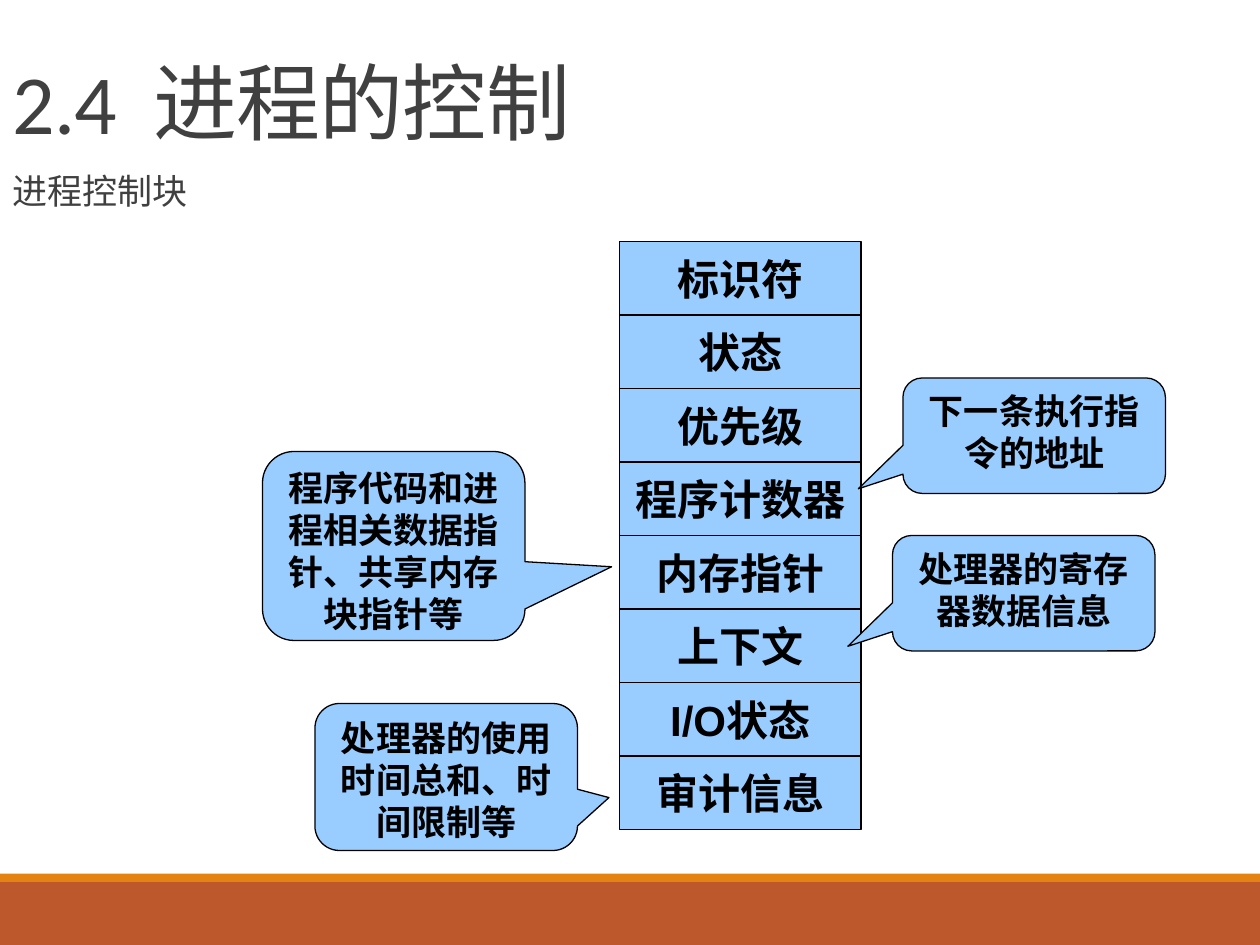
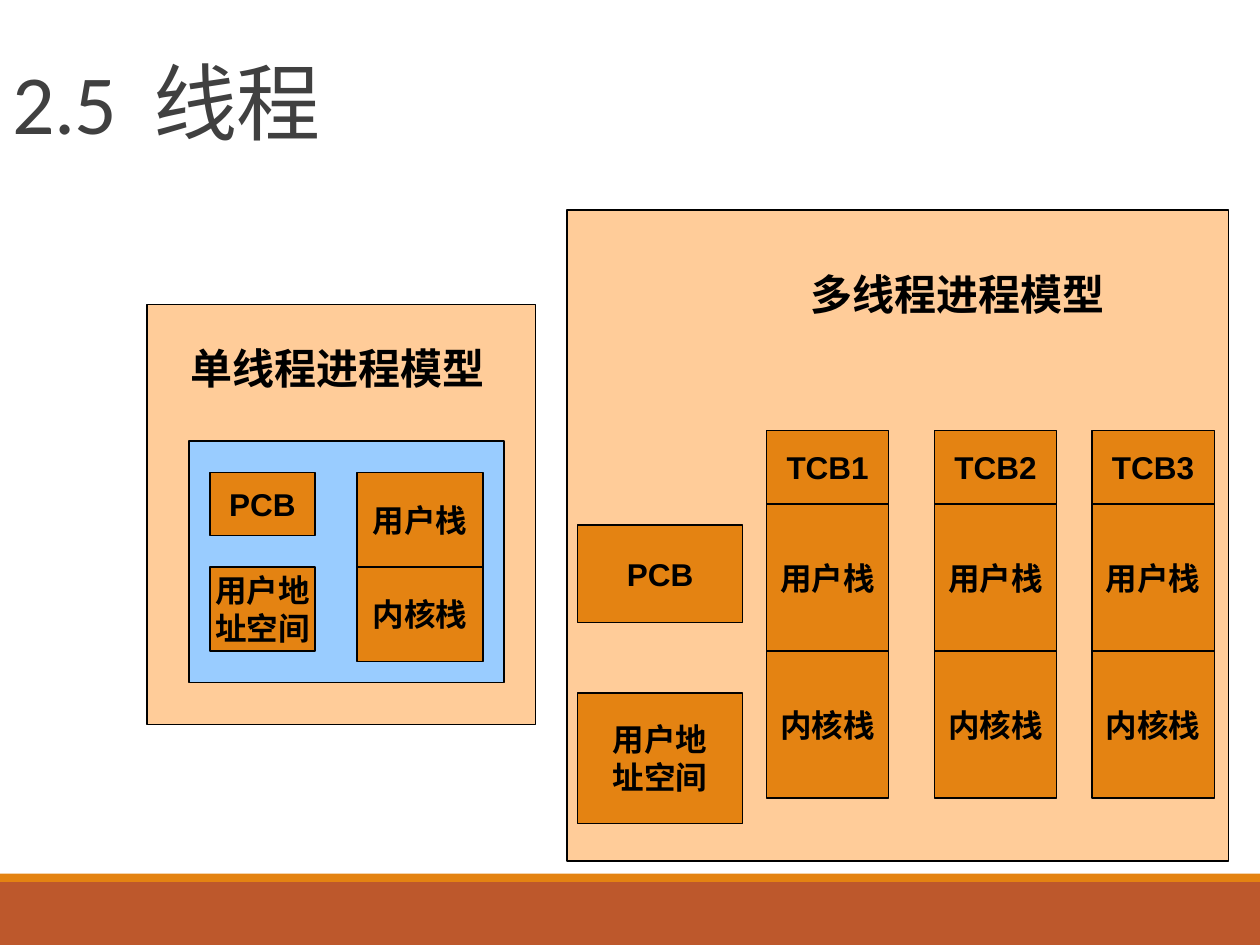
"""Build two slides on process control blocks and thread models."""
import pptx
import pptx.dml.color
import pptx.enum.shapes
import pptx.enum.text
import pptx.util

HUE = {
    "rust": "BD582C", "gold": "E48312", "gray": "404040",
    "blue": "99CCFF", "peach": "FFCC99", "black": "000000",
}
COLS, ROWS = 120, 90
KIND = pptx.enum.shapes.MSO_SHAPE
ALIGN = pptx.enum.text.PP_ALIGN
ANCHOR = pptx.enum.text.MSO_ANCHOR

deck = pptx.Presentation()
deck.slide_width = pptx.util.Inches(10)
deck.slide_height = pptx.util.Inches(7.5)
wide, high = deck.slide_width / COLS, deck.slide_height / ROWS
plain = deck.slide_layouts[5]


def write(par, text, size, hue="black", face="Arial", bold=True):
    """Add one run to a paragraph."""
    run = par.add_run()
    run.text = text
    run.font.size = pptx.util.Pt(size)
    run.font.name = face
    run.font.bold = bold
    run.font.color.rgb = pptx.dml.color.RGBColor.from_string(HUE[hue])
    return run


def put(shapes, cells, hue=None, lines=(), size=18, kind=KIND.RECTANGLE, edge=True):
    """Place a filled shape, or a bare text box when no hue is given."""
    col, row, span, rise = cells
    spot = [round(v) for v in (col * wide, row * high, span * wide, rise * high)]
    if hue:
        item = shapes.add_shape(kind, *spot)
        item.shadow.inherit = False
        item.fill.solid()
        item.fill.fore_color.rgb = pptx.dml.color.RGBColor.from_string(HUE[hue])
        if edge:
            item.line.color.rgb = pptx.dml.color.RGBColor.from_string(HUE["black"])
            item.line.width = pptx.util.Pt(0.75)
        else:
            item.line.fill.background()
    else:
        item = shapes.add_textbox(*spot)
    frame = item.text_frame
    box = hue and kind == KIND.RECTANGLE
    frame.word_wrap = kind != KIND.RECTANGLE
    frame.vertical_anchor = ANCHOR.MIDDLE if box else ANCHOR.TOP
    for num, line in enumerate(lines):
        par = frame.add_paragraph() if num else frame.paragraphs[0]
        par.alignment = ALIGN.CENTER if hue else ALIGN.LEFT
        write(par, line, size)
    return item


pages = []
for mark, name in [("2.4", "进程的控制"), ("2.5", "线程")]:
    page = deck.slides.add_slide(plain)
    head = page.shapes.title
    head.left, head.top = 0, 0
    head.width, head.height = deck.slide_width, round(15 * high)
    frame = head.text_frame
    frame.word_wrap = True
    frame.auto_size = pptx.enum.text.MSO_AUTO_SIZE.NONE
    frame.vertical_anchor = ANCHOR.BOTTOM
    par = frame.paragraphs[0]
    par.alignment = ALIGN.LEFT
    par.line_spacing = 0.85
    for text, gap in [(mark, -50), (" ", 1000), (name, -50)]:
        run = write(par, text, 48, "gray", "Calibri", False)
        run.font._element.set("spc", str(gap))
    pages.append(page)

block, thread = pages
for top, rise, hue in [(84, 6, "rust"), (83.2, 0.8, "gold")]:
    band = put(block.shapes, (0, top, COLS, rise), hue, edge=False)
    plain.shapes.element.append(band.element)

note = put(block.shapes, (0, 16, COLS, 6))
par = note.text_frame.paragraphs[0]
par.line_spacing = 0.9
write(par, "进程控制块", 20, "gray", "Calibri", False)

stack = block.shapes.add_group_shape().shapes
fields = ["标识符", "状态", "优先级", "程序计数器", "内存指针", "上下文", "I/O状态", "审计信息"]
for num, field in enumerate(fields):
    put(stack, (59, 23 + 7 * num, 23, 7), "blue", [field], 24)

for cells, tip, text in [
    ((85, 51, 25, 11), (-0.67, 0.46), "处理器的寄存器数据信息"),
    ((25, 43, 25, 18), (0.83, 0.11), "程序代码和进程相关数据指针、共享内存块指针等"),
    ((86, 36, 25, 11), (-0.67, 0.46), "下一条执行指令的地址"),
    ((30, 67, 25, 14), (0.62, 0.14), "处理器的使用时间总和、时间限制等"),
]:
    call = put(block.shapes, cells, "blue", [text], 20, KIND.ROUNDED_RECTANGULAR_CALLOUT)
    call.adjustments[0], call.adjustments[1] = tip

space = ["用户地", "址空间"]
single = thread.shapes.add_group_shape().shapes
put(single, (14, 29, 37, 40), "peach")
put(single, (18, 42, 30, 23), "blue")
put(single, (17, 32, 30.4, 6), None, ["单线程进程模型"], 24)
put(single, (20, 45, 10, 6), "gold", ["PCB"])
put(single, (20, 54, 10, 8), "gold", space)
for num, text in enumerate(["用户栈", "内核栈"]):
    put(single, (34, 45 + 9 * num, 12, 9), "gold", [text])

multi = thread.shapes.add_group_shape().shapes
put(multi, (54, 20, 63, 62), "peach")
put(multi, (76, 25, 30.4, 6), None, ["多线程进程模型"], 24)
put(multi, (55, 50, 15.75, 9.3), "gold", ["PCB"])
put(multi, (55, 66, 15.75, 12.4), "gold", space)
for num, col in enumerate([73, 89, 104], 1):
    for row, rise, text in [(41, 7, f"TCB{num}"), (48, 14, "用户栈"), (62, 14, "内核栈")]:
        put(multi, (col, row, 11.65, rise), "gold", [text])

deck.save("out.pptx")
